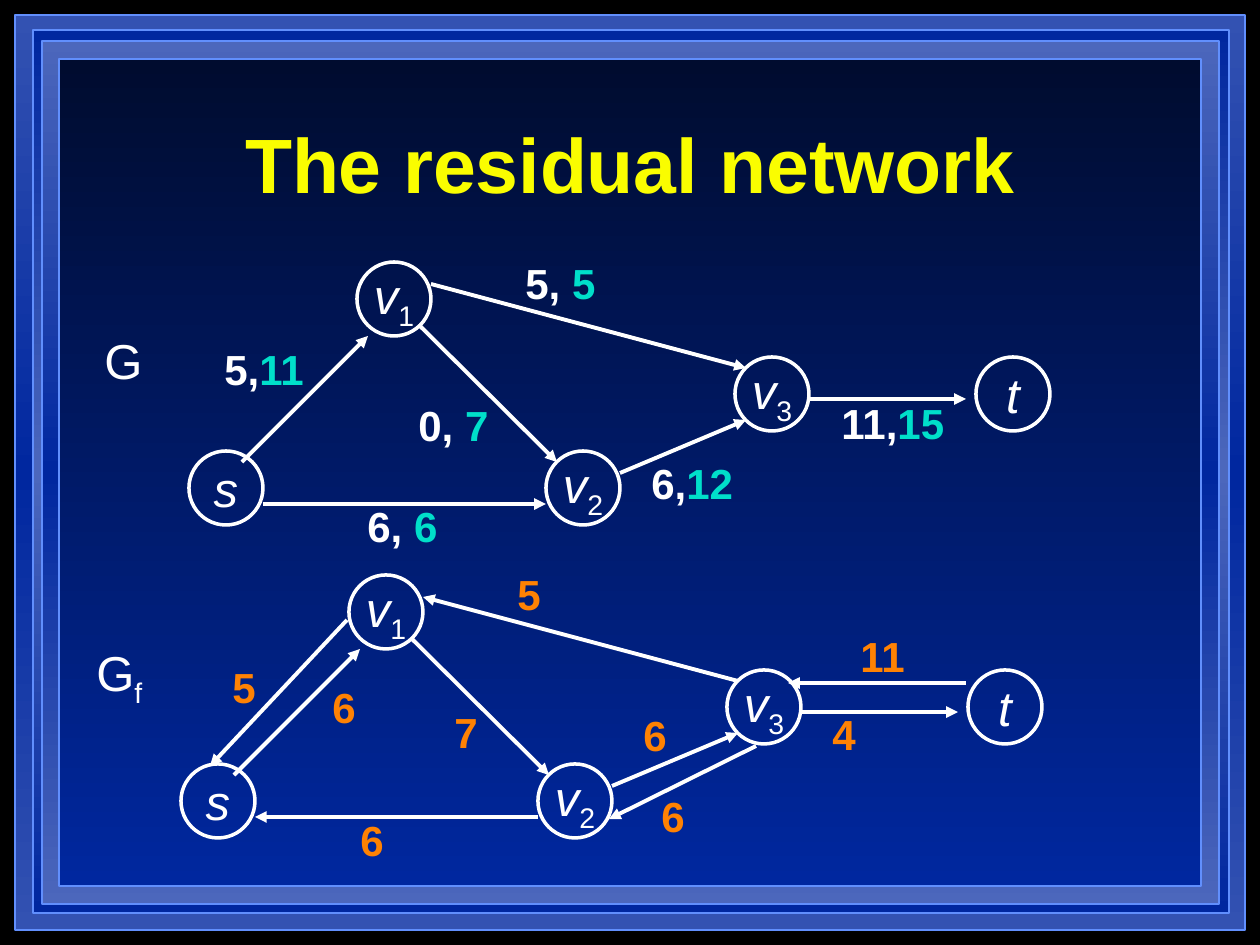
"""Build the slide that compares a flow network with its residual network."""
from copy import deepcopy

from lxml.etree import SubElement
from pptx import Presentation
from pptx.dml.color import RGBColor
from pptx.enum.shapes import MSO_CONNECTOR, MSO_SHAPE
from pptx.enum.text import MSO_ANCHOR, MSO_AUTO_SIZE, PP_ALIGN
from pptx.oxml.ns import qn
from pptx.util import Emu, Pt

THEME = {
    "font": "Arial",
    "background": "000000",
    "border": "618FFD",
    "title": "FAFD00",
    "ink": "FFFFFF",
    "capacity": "00DFCA",
    "residual": "FF8203",
    "title_size": 44,
    "node_size": 28,
    "label_size": 24,
    "border_width": 1,
    "node_width": 2,
    "edge_width": 2.25,
}
SLIDE = (1260, 945)
TITLE = "The residual network"
TITLE_BOX = (95, 84, 1071, 158)
FRAMES = [
    ((15, 15, 1230, 915), ("3352B2", "00279F", "3352B2")),
    ((33, 30, 1196, 883), ("00279F", "4C67BC", "00279F")),
    ((42, 41, 1177, 863), ("4C67BC", "00279F", "4C67BC")),
    ((59, 59, 1142, 827), ("000C2F", "00279F")),
]
NODE_DIAMETER = 74
NODES = [
    ("s", "", 189, 451),
    ("v", "2", 546, 451),
    ("v", "1", 357, 262),
    ("v", "3", 735, 357),
    ("t", "", 976, 357),
]
EDGES = {
    "s-v1": (242, 462, 368, 336),
    "v1-v2": (420, 326, 557, 462),
    "s-v2": (263, 504, 546, 504),
    "v2-v3": (620, 473, 746, 420),
    "v1-v3": (431, 284, 746, 368),
    "v3-t": (809, 399, 966, 399),
}
GRAPHS = [
    {
        "name": ("G", "", (92, 324, 63, 72)),
        "shift": (0, 0),
        "reversed": (),
        "extra_edges": [],
        "labels": [
            ("5,", "11", 212, 337, 107),
            ("6, ", "6", 355, 494, 95),
            ("0, ", "7", 406, 393, 95),
            ("5, ", "5", 513, 251, 95),
            ("6,", "12", 639, 451, 107),
            ("11,", "15", 829, 391, 130),
        ],
    },
    {
        "name": ("G", "f", (84, 636, 71, 79)),
        "shift": (-8, 313),
        "reversed": ("s-v2", "v1-v3"),
        "extra_edges": [
            (347, 620, 210, 766),
            (756, 746, 609, 819),
            (966, 683, 788, 683),
        ],
        "labels": [
            ("6", "", 320, 675, 48),
            ("6", "", 348, 808, 48),
            ("7", "", 442, 700, 48),
            ("5", "", 505, 562, 48),
            ("6", "", 631, 703, 48),
            ("4", "", 820, 702, 48),
            ("5", "", 220, 655, 48),
            ("6", "", 649, 784, 48),
            ("11", "", 848, 624, 72),
        ],
    },
]
LABEL_HEIGHT = 63
EMU_PER_PX = 914400 / 126


def px(*lengths):
    return [Emu(round(length * EMU_PER_PX)) for length in lengths]


def color(name):
    return RGBColor.from_string(THEME.get(name, name))


def apply(target, **formats):
    for name, value in formats.items():
        setattr(target, name, value)


def set_line(shape, color_name, width_name):
    shape.line.color.rgb = color(color_name)
    shape.line.width = Pt(THEME[width_name])


def add_run(paragraph, text, size, color_name, subscript=False, **formats):
    run = paragraph.add_run()
    run.text = text
    apply(run.font, name=THEME["font"], size=Pt(THEME[size]), **formats)
    run.font.color.rgb = color(color_name)
    if subscript:
        run.font._element.set("baseline", "-25000")


def add_frame(slide, box, stops):
    frame = slide.shapes.add_shape(MSO_SHAPE.RECTANGLE, *px(*box))
    frame.shadow.inherit = False
    set_line(frame, "border", "border_width")
    frame.fill.gradient()
    frame.fill.gradient_angle = 270
    first = frame.fill._xPr.find(".//" + qn("a:gs"))
    for _ in stops[2:]:
        first.addnext(deepcopy(first))
    for index, (stop, name) in enumerate(zip(frame.fill.gradient_stops, stops)):
        stop.position = index / (len(stops) - 1)
        stop.color.rgb = color(name)


def add_title(slide):
    title = slide.shapes.title
    slide.shapes._spTree.append(title._element)
    apply(title, **dict(zip(("left", "top", "width", "height"), px(*TITLE_BOX))))
    apply(title.text_frame, auto_size=MSO_AUTO_SIZE.NONE, word_wrap=True,
          vertical_anchor=MSO_ANCHOR.MIDDLE)
    paragraph = title.text_frame.paragraphs[0]
    paragraph.alignment = PP_ALIGN.CENTER
    add_run(paragraph, TITLE, "title_size", "title", bold=True)


def add_node(slide, letter, index, left, top):
    node = slide.shapes.add_shape(
        MSO_SHAPE.OVAL, *px(left, top, NODE_DIAMETER, NODE_DIAMETER))
    node.shadow.inherit = False
    node.fill.background()
    set_line(node, "ink", "node_width")
    apply(node.text_frame, word_wrap=False, vertical_anchor=MSO_ANCHOR.MIDDLE)
    paragraph = node.text_frame.paragraphs[0]
    paragraph.alignment = PP_ALIGN.CENTER
    add_run(paragraph, letter, "node_size", "ink", italic=True)
    if index:
        add_run(paragraph, index, "node_size", "ink", subscript=True)


def add_edge(slide, points):
    edge = slide.shapes.add_connector(MSO_CONNECTOR.STRAIGHT, *px(*points))
    set_line(edge, "ink", "edge_width")
    SubElement(edge.line._get_or_add_ln(), qn("a:tailEnd"), type="triangle")
    SubElement(edge._element.spPr, qn("a:effectLst"))


def add_text(slide, box):
    text_box = slide.shapes.add_textbox(*px(*box))
    apply(text_box.text_frame, word_wrap=False,
          auto_size=MSO_AUTO_SIZE.SHAPE_TO_FIT_TEXT)
    return text_box.text_frame.paragraphs[0]


def add_graph(slide, graph):
    right, down = graph["shift"]
    for letter, index, left, top in NODES:
        add_node(slide, letter, index, left + right, top + down)
    for name, (x1, y1, x2, y2) in EDGES.items():
        start, end = (x1 + right, y1 + down), (x2 + right, y2 + down)
        add_edge(slide, end + start if name in graph["reversed"] else start + end)
    for points in graph["extra_edges"]:
        add_edge(slide, points)
    for first, capacity, left, top, width in graph["labels"]:
        paragraph = add_text(slide, (left, top, width, LABEL_HEIGHT))
        add_run(paragraph, first, "label_size",
                "ink" if capacity else "residual", bold=True)
        if capacity:
            add_run(paragraph, capacity, "label_size", "capacity", bold=True)
    letter, index, box = graph["name"]
    paragraph = add_text(slide, box)
    add_run(paragraph, letter, "node_size", "ink")
    if index:
        add_run(paragraph, index, "node_size", "ink", subscript=True)


def main():
    presentation = Presentation()
    presentation.slide_width, presentation.slide_height = px(*SLIDE)
    slide = presentation.slides.add_slide(presentation.slide_layouts[5])
    slide.background.fill.solid()
    slide.background.fill.fore_color.rgb = color("background")
    for box, stops in FRAMES:
        add_frame(slide, box, stops)
    add_title(slide)
    for graph in GRAPHS:
        add_graph(slide, graph)
    presentation.save("out.pptx")


if __name__ == "__main__":
    main()
